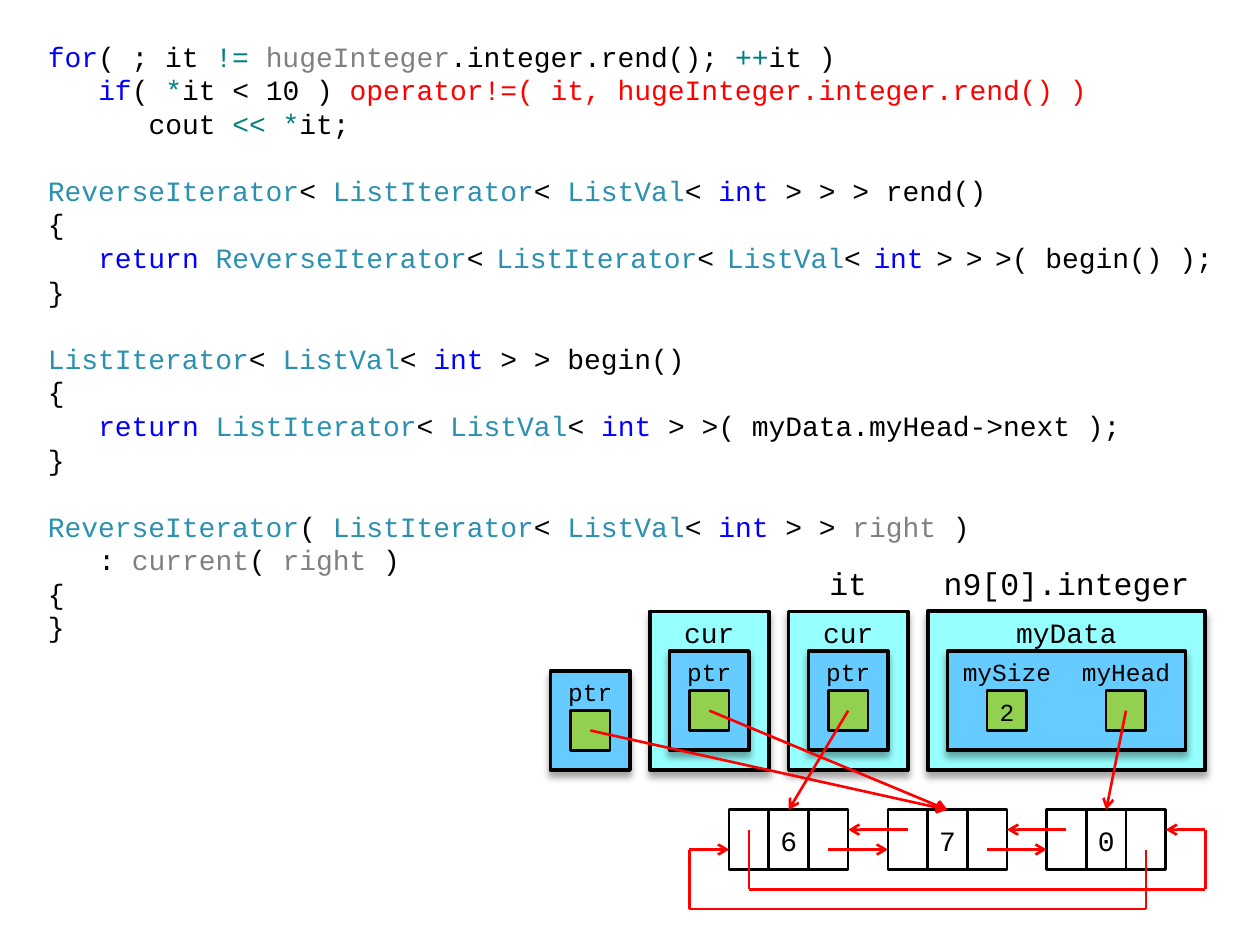
from itertools import pairwise
from lxml.etree import SubElement as Sub
from pptx import Presentation
from pptx.dml.color import RGBColor as RGB
from pptx.enum.shapes import MSO_CONNECTOR as Conn, MSO_SHAPE as Shape
from pptx.enum.text import MSO_ANCHOR as Anchor, MSO_AUTO_SIZE as Auto, PP_ALIGN as Align
from pptx.oxml.ns import qn
from pptx.util import Inches, Pt

HUE = {"k": "000000", "b": "0000FF", "t": "008080", "g": "808080",
       "r": "FF0000", "c": "2B91AF", "s": "000000",
       "cyan": "96FFFF", "sky": "66CCFF", "lime": "92D050"}

# (indent level, blank line before, colour-keyed runs; s is a narrow space)
CODE = [
    (0, 0, "b:for|k:( ; it |t:!= |g:hugeInteger|k:.integer.rend(); |t:++|k:it )"),
    (1, 0, "b:if|k:( |t:*|k:it < 10 ) |r:operator!=( it, hugeInteger.integer.rend() )"),
    (2, 0, "k:cout |t:<< *|k:it;"),
    (0, 1, "c:ReverseIterator|k:< |c:ListIterator|k:< |c:ListVal|k:< |b:int|k: > > > rend()"),
    (0, 0, "k:{"),
    (1, 0, "b:return |c:ReverseIterator|k:<|s: |c:ListIterator|k:<|s: |c:ListVal|k:<|s: "
           "|b:int|s: |k:>|s: |k:>|s: |k:>( begin() );"),
    (0, 0, "k:}"),
    (0, 1, "c:ListIterator|k:< |c:ListVal|k:< |b:int|k: > > begin()"),
    (0, 0, "k:{"),
    (1, 0, "b:return |c:ListIterator|k:< |c:ListVal|k:< |b:int|k: > >( myData.myHead->next );"),
    (0, 0, "k:}"),
    (0, 1, "c:ReverseIterator|k:( |c:ListIterator|k:< |c:ListVal|k:< |b:int|k: > > |g:right|k: )"),
    (1, 0, "k:: |g:current|k:( |g:right|k: )"),
    (0, 0, "k:{"),
    (0, 0, "k:}"),
]

# Diagram places are in grid units: left, top, width, height
FRAMES = [
    (5, 3, 6, 8, "cyan", 2), (12, 3, 6, 8, "cyan", 2), (19, 3, 14, 8, "cyan", 2.25),
    (0, 6, 4, 5, "sky", 2), (6, 5, 4, 5, "sky", 2), (13, 5, 4, 5, "sky", 2),
    (20, 5, 12, 5, "sky", 2),
]
LABELS = [
    ("it", 13, 0, 4, 3, 18), ("n9[0].integer", 19, 0, 14, 3, 18),
    ("cur", 6, 3, 4, 2, 16), ("cur", 13, 3, 4, 2, 16), ("myData", 22, 3, 8, 2, 16),
    ("ptr", 0, 6, 4, 2, 14), ("ptr", 6, 5, 4, 2, 14), ("ptr", 13, 5, 4, 2, 14),
    ("mySize", 20, 5, 6, 2, 14), ("myHead", 26, 5, 6, 2, 14),
]
SLOTS = [(1, 8, ""), (7, 7, ""), (14, 7, ""), (22, 7, "2"), (28, 7, "")]
NODES = [(9, "6"), (17, "7"), (25, "0")]
LINKS = [((2, 9), "7"), ((8, 8), "7"), ((15, 8), "6"), ((29, 8), "0")]
WIRES = [
    [(30, 15), (30, 18), (7, 18), (7, 15), (9, 15)],
    [(10, 14), (10, 17), (33, 17), (33, 14), (31, 14)],
]
WIRES += [[(x + 5, 15), (x + 8, 15)] for x, _ in NODES[:-1]]
WIRES += [[(x + 1, 14), (x - 2, 14)] for x, _ in NODES[1:]]

UNIT = 0.4 / 2.54
LEFT, TOP = 4.37, 4.38
PITCH = 19.2

deck = Presentation()
deck.slide_width, deck.slide_height = Inches(10), Inches(7.5)
slide = deck.slides.add_slide(deck.slide_layouts[1])
shapes = slide.shapes


def spot(x, y):
    return Inches(LEFT + x * UNIT), Inches(TOP + y * UNIT)


def area(x, y, w, h):
    return *spot(x, y), Inches(w * UNIT), Inches(h * UNIT)


def write(para, text, size=16, hue="k"):
    run = para.add_run()
    run.text = text
    run.font.name = "Courier New"
    run.font.size = Pt(size)
    run.font.color.rgb = RGB.from_string(HUE[hue])


def center(shape, text, size):
    frame = shape.text_frame
    frame.word_wrap = False
    frame.vertical_anchor = Anchor.MIDDLE
    frame.margin_left = frame.margin_right = frame.margin_bottom = 0
    frame.margin_top = Inches(0.02)
    para = frame.paragraphs[0]
    para.alignment = Align.CENTER
    write(para, text, size=size)


def box(place, fill=None, width=1.5, kind=Shape.RECTANGLE):
    shape = shapes.add_shape(kind, *area(*place))
    shape.shadow.inherit = False
    if fill:
        shape.fill.solid()
        shape.fill.fore_color.rgb = RGB.from_string(HUE[fill])
    else:
        shape.fill.background()
    shape.line.color.rgb = RGB.from_string(HUE["k"])
    shape.line.width = Pt(width)
    return shape


def shade(shape):
    glow = Sub(shape.element.spPr.find(qn("a:effectLst")), qn("a:outerShdw"),
               blurRad=str(Pt(4)), dist=str(Pt(3)), dir="5400000", rotWithShape="0")
    tone = Sub(glow, qn("a:srgbClr"), val=HUE["k"])
    Sub(tone, qn("a:alpha"), val="35000")


def wire(start, end, head=False):
    line = shapes.add_connector(Conn.STRAIGHT, *spot(*start), *spot(*end))
    line.line.color.rgb = RGB.from_string(HUE["r"])
    line.line.width = Pt(1.5)
    props = line.element.spPr
    if head:
        Sub(props.find(qn("a:ln")), qn("a:tailEnd"), type="arrow")
    Sub(props, qn("a:effectLst"))
    return line


title, body = shapes.title, slide.placeholders[1]
title.element.getparent().remove(title.element)
body.left, body.top, body.width, body.height = map(Inches, (0.28, 0.29, 9.45, 4.88))
frame = body.text_frame
frame.auto_size = Auto.NONE
frame.word_wrap = True
frame.vertical_anchor = Anchor.TOP
frame.margin_left, frame.margin_right = Inches(0.1), 0
frame.margin_top, frame.margin_bottom = Inches(0.02), 0
for i, (level, gap, runs) in enumerate(CODE):
    para = frame.add_paragraph() if i else frame.paragraphs[0]
    para.line_spacing = Pt(PITCH)
    para.space_before = Pt(PITCH * gap)
    para.space_after = Pt(0)
    para.alignment = Align.LEFT
    props = para._p.get_or_add_pPr()
    props.set("marL", str(Inches(0.4 * level)))
    props.set("indent", "0")
    Sub(props, qn("a:buNone"))
    for run in runs.split("|"):
        key, _, text = run.partition(":")
        write(para, text, size=12 if key == "s" else 16, hue=key)

for *place, fill, width in FRAMES:
    shade(box(place, fill, width, Shape.FLOWCHART_PROCESS))
for text, *place, size in LABELS:
    center(shapes.add_textbox(*area(*place)), text, size)
for x, y, text in SLOTS:
    slot = box((x, y, 2, 2), "lime")
    if text:
        center(slot, text, 14)

cells = {}
for x, text in NODES:
    prev, cells[text], after = [box((x + 2 * i, 13, 2, 3)) for i in range(3)]
    center(cells[text], text, 16)
for path in WIRES:
    for start, end in pairwise(path):
        wire(start, end, head=end == path[-1])
tops = {text: (x + 3, 13) for x, text in NODES}
for start, text in LINKS:
    wire(start, tops[text], head=True).end_connect(cells[text], 0)

deck.save("out.pptx")
